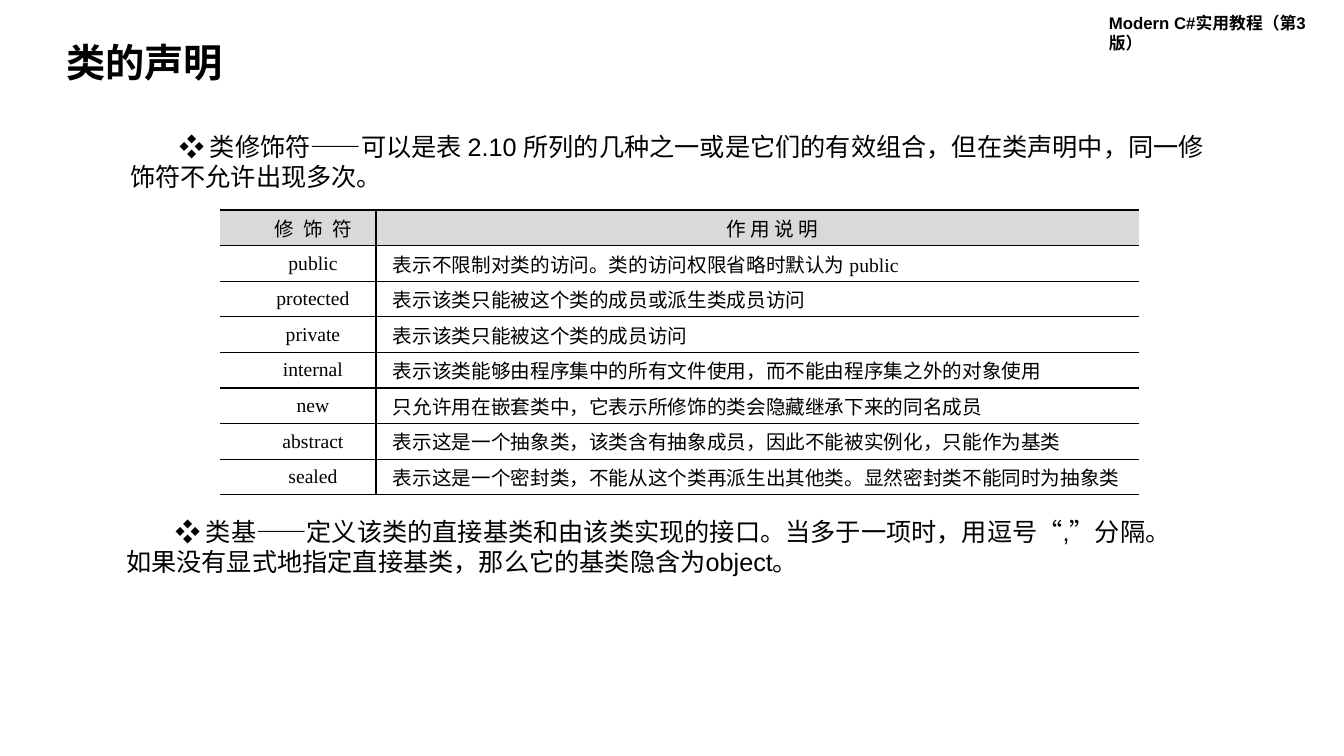
from dataclasses import dataclass
from lxml.etree import SubElement as Sub
from pptx import Presentation
from pptx.dml.color import RGBColor as Color
from pptx.enum.text import MSO_ANCHOR as Anchor, MSO_AUTO_SIZE as Fit, PP_ALIGN as Align
from pptx.oxml.ns import qn
from pptx.util import Pt

BOOK = "Modern C#实用教程（第3版）"
TITLE = "类的声明"
NOTES = [
    ("❖ 类修饰符——可以是表 2.10 所列的几种之一或是它们的有效组合，但在类声明中，同一修饰符不允许出现多次。",
     (120, 126, 1118, 72)),
    ("❖ 类基——定义该类的直接基类和由该类实现的接口。当多于一项时，用逗号“,”分隔。如果没有显式地指定直接基类，那么它的基类隐含为object。",
     (116, 511, 1078, 72)),
]
ROWS = [
    ("修 饰 符", "作 用 说 明"),
    ("public", "表示不限制对类的访问。类的访问权限省略时默认为 public"),
    ("protected", "表示该类只能被这个类的成员或派生类成员访问"),
    ("private", "表示该类只能被这个类的成员访问"),
    ("internal", "表示该类能够由程序集中的所有文件使用，而不能由程序集之外的对象使用"),
    ("new", "只允许用在嵌套类中，它表示所修饰的类会隐藏继承下来的同名成员"),
    ("abstract", "表示这是一个抽象类，该类含有抽象成员，因此不能被实例化，只能作为基类"),
    ("sealed", "表示这是一个密封类，不能从这个类再派生出其他类。显然密封类不能同时为抽象类"),
]
COLS = (156, 763)
GRID = (220, 210, sum(COLS), 285)


@dataclass(frozen=True)
class Theme:
    ink: str = "000000"
    head: str = "D9D9D9"
    sans: str = "Arial"
    serif: str = "Times New Roman"
    title: int = 28
    body: int = 18
    cell: int = 14
    book: int = 12
    rule: int = 1


THEME = Theme()


def px(n):
    return round(n * 914400 / 100.8)


def place(shape, box):
    shape.left, shape.top, shape.width, shape.height = map(px, box)


def write(frame, text, size, face=THEME.sans, bold=False, align=Align.LEFT, indent=0):
    """Fill a frame with one paragraph whose first line is indented by px."""
    frame.text = text
    para = frame.paragraphs[0]
    props = para._p.get_or_add_pPr()
    props.set("marL", "0")
    props.set("indent", str(px(indent)))
    Sub(props, qn("a:buNone"))
    para.alignment = align
    para.space_before = Pt(0)
    font = para.runs[0].font
    font.name, font.size, font.bold = face, Pt(size), bold
    font.color.rgb = Color.from_string(THEME.ink)
    return para


def rule(cell, side, shown):
    line = Sub(cell._tc.get_or_add_tcPr(), qn("a:ln" + side), w=str(Pt(THEME.rule)))
    if shown:
        fill = Sub(line, qn("a:solidFill"))
        Sub(fill, qn("a:srgbClr"), val=THEME.ink)
    else:
        Sub(line, qn("a:noFill"))


def add_grid(slide):
    table = slide.shapes.add_table(len(ROWS), len(COLS), *map(px, GRID)).table
    table.first_row = table.horz_banding = False
    for col, width in zip(table.columns, COLS):
        col.width = px(width)
    for r, texts in enumerate(ROWS):
        table.rows[r].height = px(GRID[3] / len(ROWS))
        for c, text in enumerate(texts):
            cell = table.cell(r, c)
            mid = r == 0 or c == 0
            write(cell.text_frame, text, THEME.cell, THEME.serif,
                  align=Align.CENTER if mid else Align.JUSTIFY,
                  indent=30 if mid else 10)
            cell.vertical_anchor = Anchor.MIDDLE
            cell.margin_left = cell.margin_right = px(7)
            cell.margin_top = cell.margin_bottom = 0
            for side, shown in (("L", c == 1), ("R", c == 0), ("T", True), ("B", True)):
                rule(cell, side, shown)
            if r == 0:
                cell.fill.solid()
                cell.fill.fore_color.rgb = Color.from_string(THEME.head)
            else:
                cell.fill.background()
    label = table.cell(0, 0).text_frame.paragraphs[0].runs[0]
    label.font._element.set("spc", "175")


def main():
    deck = Presentation()
    deck.slide_width, deck.slide_height = px(1344), px(756)
    slide = deck.slides.add_slide(deck.slide_layouts.get_by_name("Two Content"))
    title, *bodies = slide.placeholders

    book = slide.shapes.add_textbox(*map(px, (1099, 8, 246, 30)))
    book.text_frame.word_wrap = True
    write(book.text_frame, BOOK, THEME.book, bold=True)

    place(title, (56, 39, 463, 52))
    title.text_frame.auto_size = Fit.NONE
    write(title.text_frame, TITLE, THEME.title, bold=True).line_spacing = 0.9

    for body, (text, box) in zip(bodies, NOTES):
        place(body, box)
        body.text_frame.auto_size = Fit.NONE
        write(body.text_frame, text, THEME.body, indent=49)

    add_grid(slide)
    deck.save("out.pptx")


if __name__ == "__main__":
    main()
